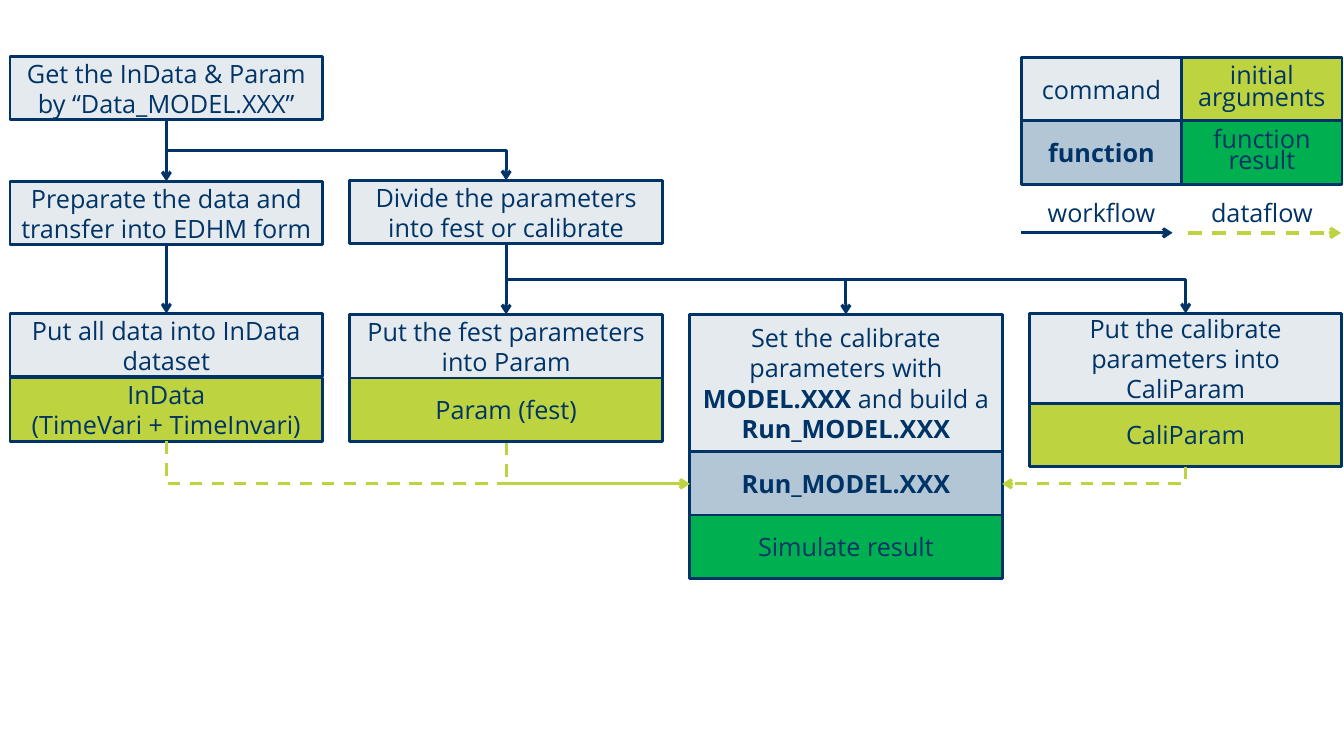
import pptx
import pptx.dml.color
import pptx.enum.dml
import pptx.enum.shapes
import pptx.enum.text
import pptx.oxml
import pptx.oxml.ns
import pptx.util
from pptx.util import Inches

NAVY = pptx.dml.color.RGBColor(0x00, 0x33, 0x66)
LIME = pptx.dml.color.RGBColor(0xBD, 0xD3, 0x40)
STEEL = pptx.dml.color.RGBColor(0xB3, 0xC6, 0xD5)
GREEN = pptx.dml.color.RGBColor(0x00, 0xB0, 0x50)

# Four columns of workflow boxes, two columns of legend cells
BOX_W, BOX_H = 3.1, 0.63
COLUMNS = [0.1 + 3.37 * i for i in range(4)]
CENTERS = [left + BOX_W / 2 for left in COLUMNS]
KEY_W = 1.59
KEYS = [10.13, 10.13 + KEY_W]

deck = pptx.Presentation()
deck.slide_width, deck.slide_height = Inches(13.33), Inches(7.5)
page = deck.slides.add_slide(deck.slide_layouts[6])


def write(box, paragraphs, spacing=None):
    """Fill a box with centred paragraphs of (text, bold) runs."""
    frame = box.text_frame
    frame.word_wrap = True
    frame.vertical_anchor = pptx.enum.text.MSO_ANCHOR.MIDDLE
    for i, runs in enumerate(paragraphs):
        para = frame.add_paragraph() if i else frame.paragraphs[0]
        para.alignment = pptx.enum.text.PP_ALIGN.CENTER
        para.line_spacing = spacing
        for text, bold in runs:
            span = para.add_run()
            span.text = text
            span.font.name = "Open Sans"
            span.font.size = pptx.util.Pt(18)
            span.font.bold = bold
            span.font.color.rgb = NAVY


def add_arrow(start, end, color, preset="line", dashed=False, weight=2.25):
    """Draw an arrow; bent presets leave their start vertically."""
    (x1, y1), (x2, y2) = start, end
    kind = pptx.enum.shapes.MSO_CONNECTOR.STRAIGHT
    if preset != "line":
        # The unrotated frame has width and height swapped about the same centre
        kind = pptx.enum.shapes.MSO_CONNECTOR.ELBOW
        mid_x, mid_y = (x1 + x2) / 2, (y1 + y2) / 2
        half_w, half_h = abs(y2 - y1) / 2, abs(x2 - x1) / 2
        rightward = x2 > x1
        x1, x2 = mid_x - half_w, mid_x + half_w
        y1, y2 = mid_y - half_h, mid_y + half_h
    arrow = page.shapes.add_connector(kind, Inches(x1), Inches(y1), Inches(x2), Inches(y2))
    properties = arrow._element.spPr
    if preset != "line":
        properties.find(pptx.oxml.ns.qn("a:prstGeom")).set("prst", preset)
        properties.xfrm.set("rot", "16200000" if rightward else "5400000")
        if rightward:
            properties.xfrm.set("flipH", "1")
    arrow.line.color.rgb = color
    arrow.line.width = pptx.util.Pt(weight)
    if dashed:
        arrow.line.dash_style = pptx.enum.dml.MSO_LINE.DASH
    line = arrow.line._get_or_add_ln()
    line.append(pptx.oxml.parse_xml(f'<a:tailEnd {pptx.oxml.ns.nsdecls("a")} type="arrow"/>'))
    properties.append(pptx.oxml.parse_xml(f'<a:effectLst {pptx.oxml.ns.nsdecls("a")}/>'))


# Boxes: left, top, width, height, fill (None is a pale navy tint), paragraphs, spacing
boxes = [
    (COLUMNS[0], 0.56, BOX_W, BOX_H, None, [[("Get the InData & Param by “Data_MODEL.XXX”", False)]], None),
    (COLUMNS[0], 1.8, BOX_W, BOX_H, None, [[("Preparate the data and transfer into EDHM form", False)]], None),
    (COLUMNS[1], 1.79, BOX_W, BOX_H, None, [[("Divide the parameters into fest or calibrate", False)]], None),
    (COLUMNS[0], 3.11, BOX_W, BOX_H, None, [[("Put all data into InData dataset", False)]], None),
    (COLUMNS[0], 3.75, BOX_W, BOX_H, LIME, [[("InData", False)], [("(TimeVari + TimeInvari)", False)]], None),
    (COLUMNS[1], 3.12, BOX_W, BOX_H, None, [[("Put the fest parameters into Param", False)]], None),
    (COLUMNS[1], 3.75, BOX_W, BOX_H, LIME, [[("Param (fest)", False)]], None),
    (COLUMNS[2], 3.12, BOX_W, 1.36, None,
     [[("Set the calibrate parameters with ", False), ("MODEL.XXX ", True),
       ("and build a ", False), ("Run_MODEL.XXX", True)]], None),
    (COLUMNS[2], 4.48, BOX_W, BOX_H, STEEL, [[("Run_MODEL.XXX", True)]], None),
    (COLUMNS[2], 5.11, BOX_W, BOX_H, GREEN, [[("Simulate result", False)]], None),
    (COLUMNS[3], 3.11, BOX_W, 0.89, None, [[("Put the calibrate parameters into CaliParam", False)]], None),
    (COLUMNS[3], 4.0, BOX_W, BOX_H, LIME, [[("CaliParam", False)]], None),
    (KEYS[0], 0.57, KEY_W, BOX_H, None, [[("command", False)]], None),
    (KEYS[0], 1.2, KEY_W, BOX_H, STEEL, [[("function", True)]], None),
    (KEYS[1], 1.2, KEY_W, BOX_H, GREEN, [[("function result", False)]], 0.7),
    (KEYS[1], 0.57, KEY_W, BOX_H, LIME, [[("initial arguments", False)]], 0.7),
]
for left, top, width, height, fill, paragraphs, spacing in boxes:
    box = page.shapes.add_shape(pptx.enum.shapes.MSO_SHAPE.RECTANGLE, Inches(left),
                                Inches(top), Inches(width), Inches(height))
    box.shadow.inherit = False
    box.fill.solid()
    box.fill.fore_color.rgb = fill or NAVY
    if fill is None:
        tint = box._element.spPr.find(".//" + pptx.oxml.ns.qn("a:srgbClr"))
        tint.append(pptx.oxml.parse_xml(f'<a:alpha {pptx.oxml.ns.nsdecls("a")} val="10000"/>'))
    box.line.color.rgb = NAVY
    box.line.width = pptx.util.Pt(2)
    write(box, paragraphs, spacing)

# Workflow arrows
add_arrow((CENTERS[0], 1.2), (CENTERS[0], 1.8), NAVY)
add_arrow((CENTERS[0], 2.44), (CENTERS[0], 3.11), NAVY)
add_arrow((CENTERS[1], 2.43), (CENTERS[1], 3.12), NAVY)
add_arrow((CENTERS[0], 1.2), (CENTERS[1], 1.79), NAVY, "bentConnector3")
add_arrow((CENTERS[1], 2.43), (CENTERS[2], 3.12), NAVY, "bentConnector3")
add_arrow((CENTERS[1], 2.43), (CENTERS[3], 3.11), NAVY, "bentConnector3")

# Dataflow arrows into the model run
RUN_Y = 4.8
add_arrow((CENTERS[0], 4.38), (COLUMNS[2], RUN_Y), LIME, "bentConnector2", True)
add_arrow((CENTERS[1], 4.39), (COLUMNS[2], RUN_Y), LIME, "bentConnector2", True)
add_arrow((CENTERS[3], 4.63), (COLUMNS[2] + BOX_W, RUN_Y), LIME, "bentConnector2", True)

# Legend arrows and their labels
add_arrow((10.13, 2.31), (11.63, 2.31), NAVY)
add_arrow((11.78, 2.31), (13.3, 2.31), LIME, dashed=True, weight=2.5)
for left, label in zip(KEYS, ("workflow", "dataflow")):
    box = page.shapes.add_textbox(Inches(left), Inches(1.93), Inches(KEY_W), Inches(0.36))
    box.text_frame.margin_top = box.text_frame.margin_bottom = 0
    write(box, [[(label, False)]])

deck.save("out.pptx")
